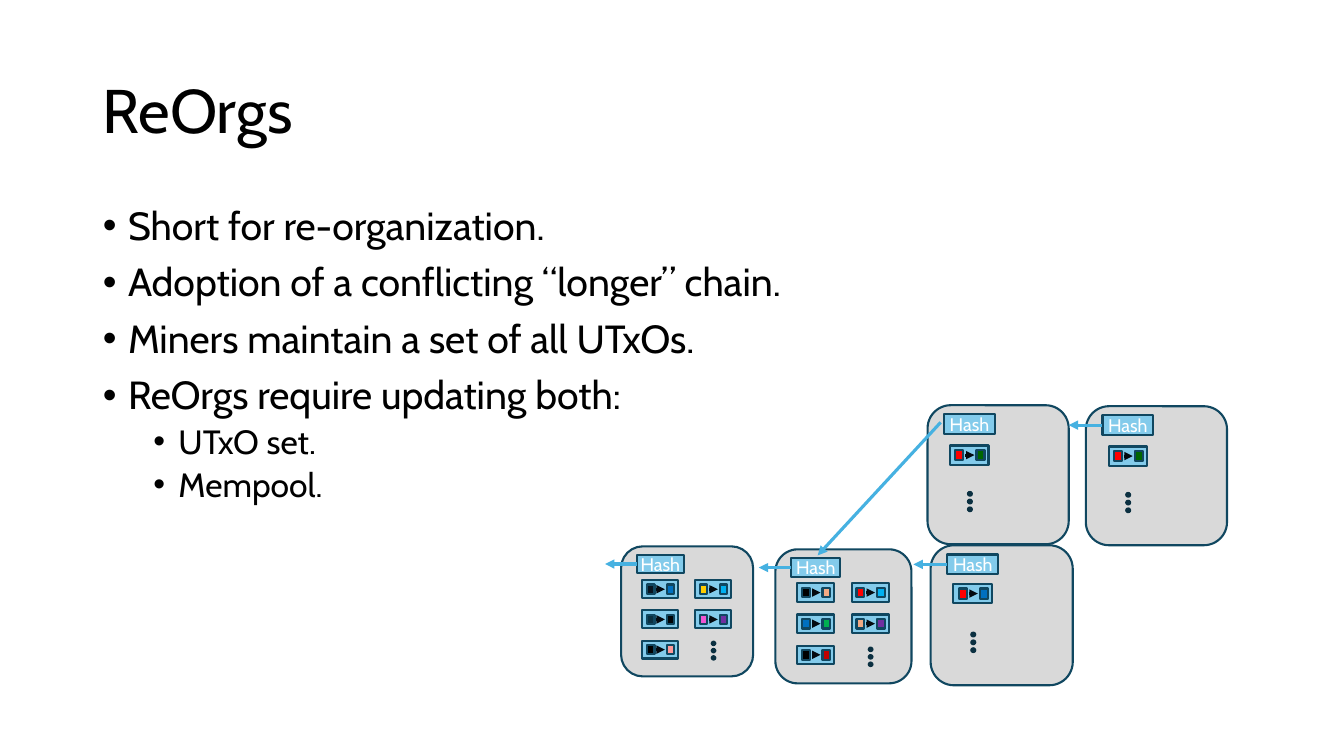
from lxml import etree
from pptx import Presentation
from pptx.dml.color import RGBColor
from pptx.enum.shapes import MSO_CONNECTOR, MSO_SHAPE
from pptx.enum.text import MSO_ANCHOR, MSO_AUTO_SIZE, PP_ALIGN
from pptx.oxml.ns import qn
from pptx.util import Inches, Pt

FONT = "Cabin"
OUTLINE, BLOCK_FILL, LABEL_FILL = "104760", "D9D9D9", "83CBEB"
DOT, COIN_ARROW, CHAIN_ARROW = "0B3041", "040A10", "46B1E1"

TITLE = "ReOrgs"
BULLETS = [
    ("Short for re-organization.", 0),
    ("Adoption of a conflicting “longer” chain.", 0),
    ("Miners maintain a set of all UTxOs.", 0),
    ("ReOrgs require updating both:", 0),
    ("UTxO set.", 1),
    ("Mempool.", 1),
]

# Left, top, width, offset of the first transaction, has chain arrow,
# columns of (input colour, output colour)
BLOCKS = [
    (7.69, 5.45, 1.35, 0.35, True, [
        [("000000", "F2AA84"), ("0070C0", "00B050"), ("000000", "C00000")],
        [("FF0000", "00B0F0"), ("F2AA84", "7030A0")]]),
    (6.16, 5.42, 1.31, 0.36, True, [
        [("071420", "0070C0"), ("0B3041", "010406"), ("000000", "FF9999")],
        [("FFCC00", "00B0F0"), ("F155D3", "7030A0")]]),
    (9.23, 5.41, 1.41, 0.38, True, [[("FF0000", "0070C0")]]),
    (9.2, 4.02, 1.4, 0.4, False, [[("FF0000", "006600")]]),
    (10.77, 4.03, 1.4, 0.4, True, [[("FF0000", "006600")]]),
]


def color(value):
    return RGBColor.from_string(value)


def set_font(paragraph, size, text_color):
    font = paragraph.font
    font.name, font.size = FONT, Pt(size)
    font.color.rgb = color(text_color)


def add_filled(shapes, kind, box, fill, line=OUTLINE):
    shape = shapes.add_shape(kind, *map(Inches, box))
    shape.shadow.inherit = False
    shape.fill.solid()
    shape.fill.fore_color.rgb = color(fill)
    if line:
        shape.line.color.rgb = color(line)
        shape.line.width = Pt(1.5)
    else:
        shape.line.fill.background()
    return shape


def add_arrow(shapes, start, end, line_color, width):
    arrow = shapes.add_connector(
        MSO_CONNECTOR.STRAIGHT, *map(Inches, (*start, *end)))
    arrow.line.color.rgb = color(line_color)
    arrow.line.width = Pt(width)
    etree.SubElement(arrow.line._get_or_add_ln(), qn("a:tailEnd"), type="triangle")
    etree.SubElement(arrow._element.spPr, qn("a:effectLst"))
    return arrow


def add_title(slide, box):
    title = slide.shapes.title
    title.left, title.top, title.width, title.height = map(Inches, box)
    frame = title.text_frame
    frame.text = TITLE
    frame.vertical_anchor = MSO_ANCHOR.MIDDLE
    frame.auto_size = MSO_AUTO_SIZE.NONE
    paragraph = frame.paragraphs[0]
    paragraph.alignment = PP_ALIGN.LEFT
    paragraph.line_spacing = 0.9
    set_font(paragraph, 44, "000000")


def add_bullets(slide, box):
    body = slide.placeholders[1]
    body.left, body.top, body.width, body.height = map(Inches, box)
    frame = body.text_frame
    frame.auto_size = MSO_AUTO_SIZE.NONE
    frame.text = "\n".join(text for text, _ in BULLETS)
    for index, (paragraph, (_, level)) in enumerate(zip(frame.paragraphs, BULLETS)):
        paragraph.level = level
        paragraph.line_spacing = 0.9
        paragraph.space_before = Pt((5 if level else 10) if index else 0)
        properties = paragraph._p.get_or_add_pPr()
        properties.set("marL", str(Inches(0.25 + 0.5 * level)))
        properties.set("indent", str(Inches(-0.25)))
        etree.SubElement(properties, qn("a:buFont"), typeface="Arial")
        etree.SubElement(properties, qn("a:buChar"), char="•")
        set_font(paragraph, 24 if level else 28, "000000")


def add_transaction(shapes, left, top, scale, coins):
    def box(x, y, width, height):
        return left + x * scale, top + y * scale, width * scale, height * scale

    add_filled(shapes, MSO_SHAPE.RECTANGLE, box(0, 0, 0.38, 0.19), LABEL_FILL)
    for x, coin in zip((0.05, 0.26), coins):
        add_filled(shapes, MSO_SHAPE.RECTANGLE, box(x, 0.045, 0.08, 0.1), coin)
    middle = top + 0.095 * scale
    add_arrow(shapes, (left + 0.15 * scale, middle), (left + 0.24 * scale, middle),
              COIN_ARROW, 2)


def add_block(slide, left, top, width, first_top, chained, columns):
    """Draw one block; its parts are laid out for a width of 1.4 and scaled."""
    shapes = slide.shapes.add_group_shape().shapes
    scale = width / 1.4
    add_filled(shapes, MSO_SHAPE.ROUNDED_RECTANGLE,
               (left, top, width, width * 0.985), BLOCK_FILL)

    hash_left, hash_top = left + 0.165 * scale, top + 0.09 * scale
    label = add_filled(shapes, MSO_SHAPE.RECTANGLE,
                       (hash_left, hash_top, 0.5 * scale, 0.195 * scale), LABEL_FILL)
    frame = label.text_frame
    frame.margin_left = frame.margin_right = 0
    frame.vertical_anchor = MSO_ANCHOR.MIDDLE
    frame.text = "Hash"
    frame.paragraphs[0].alignment = PP_ALIGN.CENTER
    set_font(frame.paragraphs[0], 13, "FFFFFF")

    for column, transactions in enumerate(columns):
        column_left = left + (0.225 + 0.56 * column) * scale
        for row, coins in enumerate(transactions):
            row_top = top + (first_top + 0.32 * row) * scale
            add_transaction(shapes, column_left, row_top, scale, coins)

    dots_top = 1.0 if len(columns) > 1 else 0.85
    for dot in range(3):
        add_filled(shapes, MSO_SHAPE.OVAL,
                   (column_left + 0.165 * scale, top + (dots_top + 0.077 * dot) * scale,
                    0.06 * scale, 0.058 * scale), DOT, line=None)

    if chained:
        middle = hash_top + 0.0975 * scale
        arrow = add_arrow(shapes, (hash_left, middle),
                          (hash_left - 0.335 * scale, middle), CHAIN_ARROW, 2.25)
        arrow.begin_connect(label, 1)


def main():
    presentation = Presentation()
    presentation.slide_width, presentation.slide_height = Inches(13.33), Inches(7.5)
    slide = presentation.slides.add_slide(presentation.slide_layouts[1])
    add_title(slide, (0.92, 0.4, 11.5, 1.45))
    add_bullets(slide, (0.92, 2, 11.5, 4.76))
    for block in BLOCKS:
        add_block(slide, *block)
    add_arrow(slide.shapes, (9.33, 4.19), (8.11, 5.51), CHAIN_ARROW, 2.25)
    presentation.save("out.pptx")


if __name__ == "__main__":
    main()
